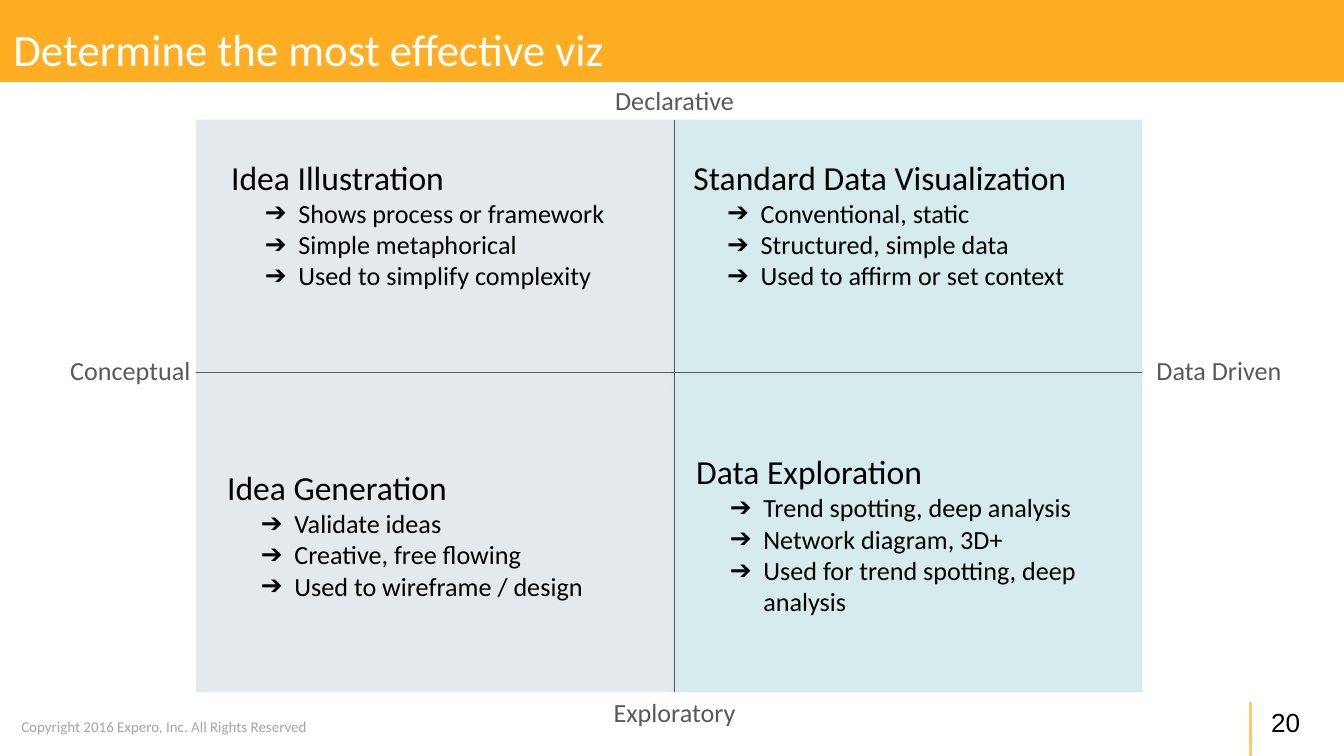
from dataclasses import dataclass

from lxml import etree
from pptx import Presentation
from pptx.dml.color import RGBColor
from pptx.enum import shapes, text
from pptx.oxml import ns
from pptx.util import Inches, Pt


@dataclass(frozen=True)
class Theme:
    face: str = "Calibri"
    number_face: str = "Arial"
    orange: str = "FFAE23"
    light_orange: str = "FFCE6C"
    slate: str = "618298"
    teal: str = "008492"
    gray: str = "595959"
    pale: str = "A5A5A5"
    black: str = "000000"
    white: str = "FFFFFF"
    title_size: int = 24
    heading_size: int = 18
    body_size: int = 14
    small_size: int = 8


THEME = Theme()
TITLE = "Determine the most effective viz"
COPYRIGHT = "Copyright 2016 Expero, Inc. All Rights Reserved"
PAGE_NUMBER = "20"

# Each quadrant: heading, points, box (left, top, width, height)
QUADRANTS = [
    ("Idea Illustration",
     ["Shows process or framework", "Simple metaphorical", "Used to simplify complexity"],
     (1.62, 1.19, 3.28, 0.95)),
    ("Standard Data Visualization",
     ["Conventional, static", "Structured, simple data", "Used to affirm or set context"],
     (5.06, 1.19, 3.04, 0.95)),
    ("Idea Generation",
     ["Validate ideas", "Creative, free flowing", "Used to wireframe / design"],
     (1.59, 3.27, 3.28, 1.41)),
    ("Data Exploration",
     ["Trend spotting, deep analysis", "Network diagram, 3D+",
      "Used for trend spotting, deep analysis"],
     (5.08, 3.27, 3.23, 1.41)),
]
COLUMNS = [(1.46, 5, THEME.slate, 17), (5, 8.5, THEME.teal, 16)]
ROWS = [(0.89, 2.89), (2.89, 5.15)]
AXES = [(5.02, 0.89, 5.02, 5.15), (1.46, 2.77, 8.5, 2.77)]
AXIS_LABELS = [("Declarative", 4.29, 0.53), ("Exploratory", 4.29, 5.08),
               ("Conceptual", 0.24, 2.54), ("Data Driven", 8.34, 2.54)]


def color(value):
    return RGBColor.from_string(value)


def place(shape, area):
    shape.left, shape.top, shape.width, shape.height = map(Inches, area)


def set_alpha(color_element, percent):
    etree.SubElement(color_element, ns.qn("a:alpha"), val=str(percent * 1000))


def set_frame(shape, anchor=text.MSO_ANCHOR.TOP, side=0.1, upright=0.1):
    frame = shape.text_frame
    frame.word_wrap = True
    frame.auto_size = text.MSO_AUTO_SIZE.NONE
    frame.vertical_anchor = anchor
    frame.margin_left = frame.margin_right = Inches(side)
    frame.margin_top = frame.margin_bottom = Inches(upright)
    return frame


def add_span(para, words, size, ink, face=THEME.face):
    span = para.add_run()
    span.text = words
    span.font.size = Pt(size)
    span.font.name = face
    span.font.bold = False
    span.font.color.rgb = color(ink)


def add_label(page, words, area, size, ink, face=THEME.face,
              align=text.PP_ALIGN.LEFT, **frame_options):
    box = page.shapes.add_textbox(*map(Inches, area))
    para = set_frame(box, **frame_options).paragraphs[0]
    para.alignment = align
    add_span(para, words, size, ink, face)


def add_block(page, area):
    block = page.shapes.add_shape(shapes.MSO_SHAPE.RECTANGLE, *map(Inches, area))
    block.shadow.inherit = False
    block.line.fill.background()
    return block


def add_tints(page):
    for left, right, tint, alpha in COLUMNS:
        for top, bottom in ROWS:
            block = add_block(page, (left, top, right - left, bottom - top))
            block.fill.solid()
            block.fill.fore_color.rgb = color(tint)
            set_alpha(block.element.spPr.find(".//" + ns.qn("a:srgbClr")), alpha)


def add_footer(page):
    bar = add_block(page, (9.3, 5.23, 0.01, 0.39))
    bar.fill.gradient()
    bar.fill.gradient_angle = 90
    for stop, tint in zip(bar.fill.gradient_stops, (THEME.orange, THEME.light_orange)):
        stop.color.rgb = color(tint)
    set_alpha(bar.element.spPr.find(".//" + ns.qn("a:srgbClr")), 67)
    add_label(page, COPYRIGHT, (0.06, 5.29, 2.55, 0.24), THEME.small_size,
              THEME.pale, upright=0.05)
    add_label(page, PAGE_NUMBER, (9.36, 5.16, 0.6, 0.43), THEME.body_size,
              THEME.black, THEME.number_face, anchor=text.MSO_ANCHOR.MIDDLE)


def set_bullet(para, mark=None):
    """Give the paragraph an indented mark, or clear the inherited one."""
    props = para._p.get_or_add_pPr()
    props.set("marL", str(Inches(0.5) if mark else 0))
    props.set("indent", str(Inches(-0.25) if mark else 0))
    if mark:
        ink = etree.SubElement(props, ns.qn("a:buClr"))
        etree.SubElement(ink, ns.qn("a:srgbClr"), val=THEME.black)
        etree.SubElement(props, ns.qn("a:buChar"), char=mark)
    else:
        etree.SubElement(props, ns.qn("a:buNone"))


def fill_quadrant(body, heading, points, area):
    place(body, area)
    frame = set_frame(body, text.MSO_ANCHOR.MIDDLE)
    for index, words in enumerate([heading, *points]):
        para = frame.add_paragraph() if index else frame.paragraphs[0]
        set_bullet(para, "➔" if index else None)
        para.space_before = Pt(0)
        add_span(para, words, THEME.body_size if index else THEME.heading_size, THEME.black)


def add_axes(page):
    for ends in AXES:
        axis = page.shapes.add_connector(shapes.MSO_CONNECTOR.STRAIGHT, *map(Inches, ends))
        axis.line.color.rgb = color(THEME.gray)
        axis.line.width = Pt(0.75)
        etree.SubElement(axis.element.spPr, ns.qn("a:effectLst"))
    for words, left, top in AXIS_LABELS:
        add_label(page, words, (left, top, 1.46, 0.36), THEME.body_size, THEME.gray,
                  align=text.PP_ALIGN.CENTER)


def fill_title(title):
    place(title, (0, 0, 10, 0.61))
    title.fill.solid()
    title.fill.fore_color.rgb = color(THEME.orange)
    para = set_frame(title).paragraphs[0]
    para.alignment = text.PP_ALIGN.LEFT
    para.line_spacing = 1.15
    add_span(para, TITLE, THEME.title_size, THEME.white)


def main():
    deck = Presentation()
    deck.slide_width = Inches(10)
    deck.slide_height = deck.slide_width * 9 // 16
    page = deck.slides.add_slide(deck.slide_layouts.get_by_name("Comparison"))
    title, *bodies = page.placeholders
    add_footer(page)
    add_tints(page)
    for body, quadrant in zip(bodies, QUADRANTS):
        fill_quadrant(body, *quadrant)
    fill_title(title)
    for holder in (*bodies, title):  # bring text in front of the tints
        holder.element.getparent().append(holder.element)
    add_axes(page)
    deck.save("out.pptx")


if __name__ == "__main__":
    main()
